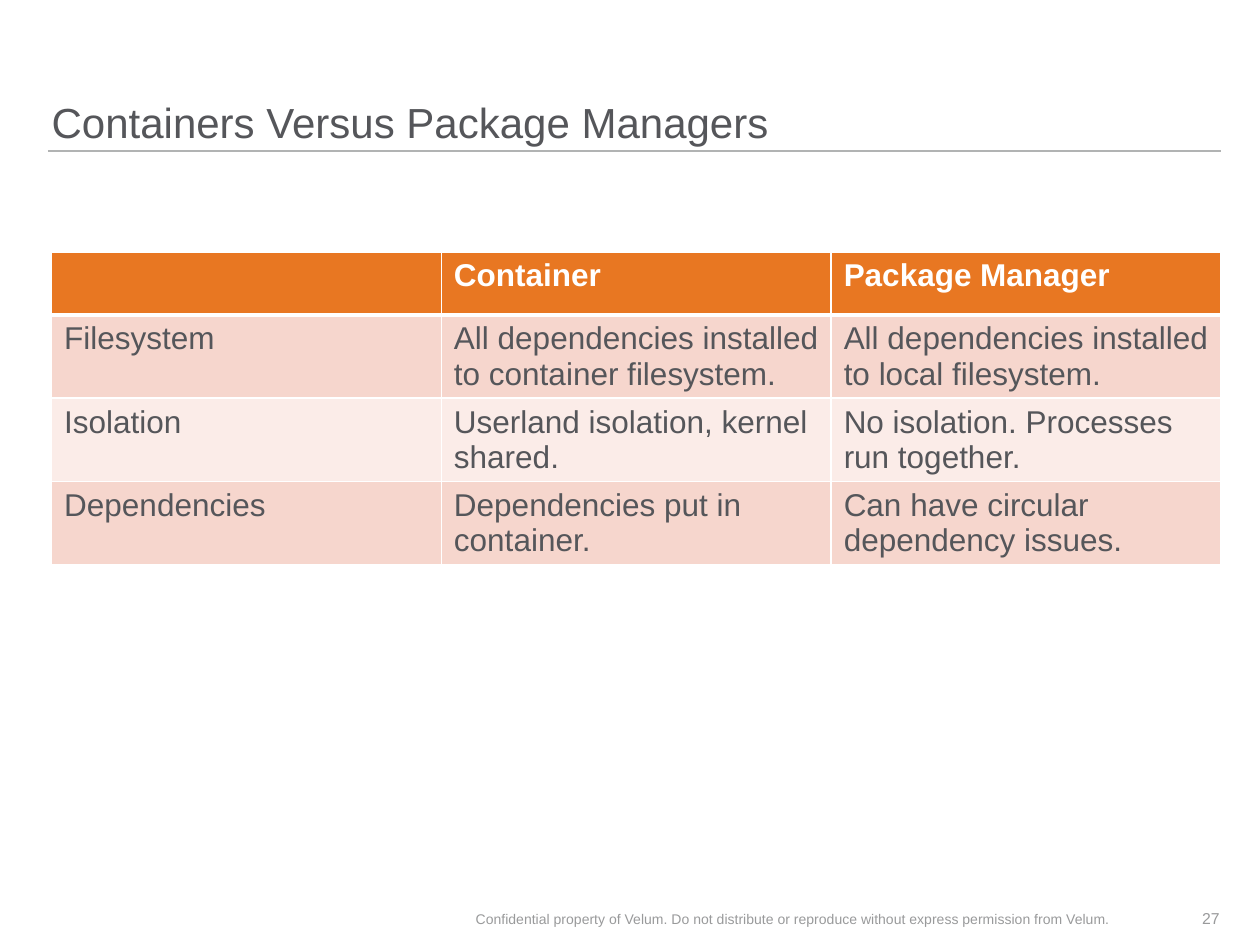
from lxml import etree
from pptx import Presentation
from pptx.dml.color import RGBColor
from pptx.enum.shapes import MSO_CONNECTOR
from pptx.enum.text import MSO_ANCHOR, MSO_AUTO_SIZE, PP_ALIGN
from pptx.oxml.ns import qn
from pptx.util import Inches, Pt

STRAIGHT = MSO_CONNECTOR.STRAIGHT
BOTTOM, MIDDLE = MSO_ANCHOR.BOTTOM, MSO_ANCHOR.MIDDLE
LEFT, CENTER, RIGHT = PP_ALIGN.LEFT, PP_ALIGN.CENTER, PP_ALIGN.RIGHT
TITLE_ONLY = 5
FONT = "Arial"
COLORS = {
    "text": "55565A",
    "footer": "999A9B",
    "rule": "B1B3B3",
    "header": "E87722",
    "odd_row": "F6D6CD",
    "even_row": "FBECE8",
    "white": "FFFFFF",
}


def write_text(frame, text, size, color, anchor, align):
    """Fill a margin-free text frame with one formatted paragraph."""
    frame.margin_left = frame.margin_right = 0
    frame.margin_top = frame.margin_bottom = 0
    frame.word_wrap = True
    frame.auto_size = MSO_AUTO_SIZE.NONE
    frame.vertical_anchor = anchor
    frame.text = text
    para = frame.paragraphs[0]
    para.alignment = align
    font = para.runs[0].font
    font.name, font.size = FONT, Pt(size)
    font.color.rgb = RGBColor.from_string(COLORS[color])


def add_border(cell, side, width):
    """Draw a white border on one side (L, R, T or B); call before filling the cell."""
    properties = cell._tc.get_or_add_tcPr()
    line = etree.SubElement(properties, qn(f"a:ln{side}"), w=str(Pt(width)))
    fill = etree.SubElement(line, qn("a:solidFill"))
    etree.SubElement(fill, qn("a:srgbClr"), val=COLORS["white"])


deck = Presentation()
deck.slide_width, deck.slide_height = Inches(10), Inches(7.5)
page = deck.slides.add_slide(deck.slide_layouts[TITLE_ONLY])

# Title and the rule below it
title = page.shapes.title
title.left, title.top = Inches(0.41), Inches(0)
title.width, title.height = Inches(9.28), Inches(1.17)
write_text(title.text_frame, "Containers Versus Package Managers", 24, "text", BOTTOM, LEFT)
title.text_frame.paragraphs[0].line_spacing = 0.9

rule = page.shapes.add_connector(STRAIGHT, Inches(0.38), Inches(1.2), Inches(9.69), Inches(1.2))
rule.line.color.rgb = RGBColor.from_string(COLORS["rule"])
rule.line.width = Pt(1)
etree.SubElement(rule._element.spPr, qn("a:effectLst"))

# Comparison table
comparison = [
    ["", "Container", "Package Manager"],
    ["Filesystem", "All dependencies installed to container filesystem.",
     "All dependencies installed to local filesystem."],
    ["Isolation", "Userland isolation, kernel shared.",
     "No isolation. Processes run together."],
    ["Dependencies", "Dependencies put in container.",
     "Can have circular dependency issues."],
]
table = page.shapes.add_table(
    len(comparison), len(comparison[0]), Inches(0.41), Inches(2), Inches(9.28), Inches(2.48)
).table
for row_index, row_texts in enumerate(comparison):
    is_header = row_index == 0
    table.rows[row_index].height = Inches(0.5 if is_header else 0.66)
    if is_header:
        fill_color = "header"
    else:
        fill_color = "odd_row" if row_index % 2 else "even_row"
    border_widths = {"L": 1, "R": 1, "T": 3 if row_index == 1 else 1, "B": 3 if is_header else 1}
    for column_index, text in enumerate(row_texts):
        cell = table.cell(row_index, column_index)
        for side, width in border_widths.items():
            add_border(cell, side, width)
        cell.fill.solid()
        cell.fill.fore_color.rgb = RGBColor.from_string(COLORS[fill_color])
        cell.text_frame.text = text
        font = cell.text_frame.paragraphs[0].font
        font.name, font.size, font.bold = FONT, Pt(18), is_header
        font.color.rgb = RGBColor.from_string(COLORS["white" if is_header else "text"])
        for span in cell.text_frame.paragraphs[0].runs:
            span.font.name, span.font.size, span.font.bold = FONT, Pt(18), is_header
            span.font.color.rgb = RGBColor.from_string(COLORS["white" if is_header else "text"])

# Footer: confidentiality note and page number
footer = [
    (3.39, 5.81, 8, CENTER, "Confidential property of Velum. "
     "Do not distribute or reproduce without express permission from Velum."),
    (9.24, 0.44, 9, RIGHT, "27"),
]
for left, width, size, align, text in footer:
    box = page.shapes.add_textbox(Inches(left), Inches(7.09), Inches(width), Inches(0.4))
    write_text(box.text_frame, text, size, "footer", MIDDLE, align)

deck.save("out.pptx")
